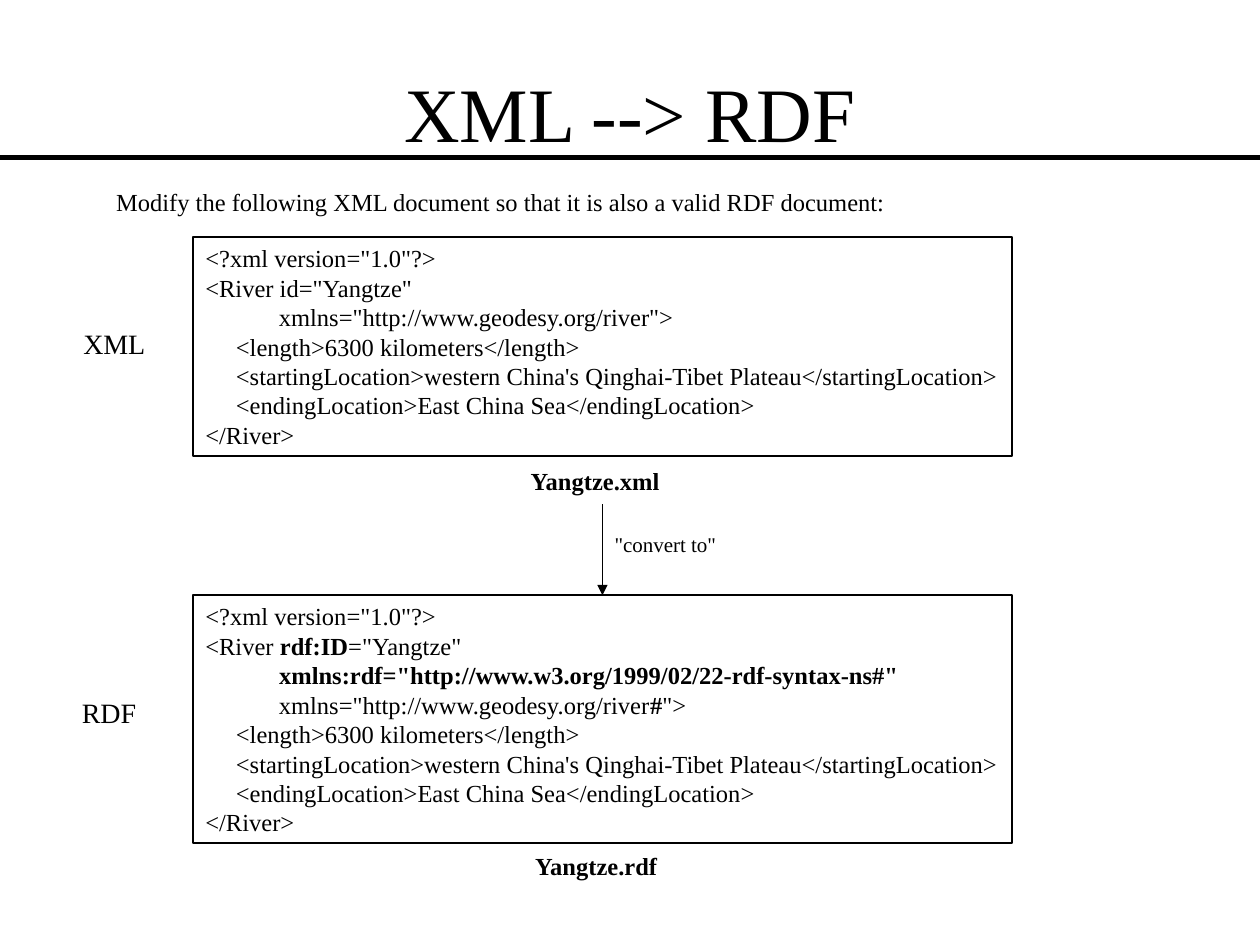
from dataclasses import dataclass

import pptx
import pptx.dml.color
import pptx.enum.shapes
import pptx.enum.text
import pptx.oxml.ns
import pptx.util
from lxml import etree

Cm = pptx.util.Cm
Pt = pptx.util.Pt
BLACK = pptx.dml.color.RGBColor(0, 0, 0)
FONT = "Times New Roman"
MARK = "*"  # encloses the bold parts of a line

# Code shown in the boxes
HEAD = '<?xml version="1.0"?>'
BODY = [
    "     <length>6300 kilometers</length>",
    "     <startingLocation>western China's Qinghai-Tibet Plateau</startingLocation>",
    "     <endingLocation>East China Sea</endingLocation>",
    "</River>",
]
XML = [
    HEAD,
    '<River id="Yangtze"',
    '            xmlns="http://www.geodesy.org/river">',
    *BODY,
]
RDF = [
    HEAD,
    '<River *rdf:ID*="Yangtze"',
    '            *xmlns:rdf="http://www.w3.org/1999/02/22-rdf-syntax-ns#"*',
    '            xmlns="http://www.geodesy.org/river*#*">',
    *BODY,
]


@dataclass
class Label:
    text: str
    left: float
    top: float
    width: float
    height: float
    size: int = 14


@dataclass
class Code:
    lines: list[str]
    top: float
    height: float


LABELS = [
    Label("XML", 1.43, 6.45, 1.9, 0.94, 16),
    Label("RDF", 1.4, 13.89, 1.75, 0.94, 16),
    Label("Modify the following XML document so that it is also a valid RDF document:",
          2.09, 3.64, 16.2, 0.86),
    Label("*Yangtze.xml*", 10.45, 9.27, 3.3, 0.86),
    Label("*Yangtze.rdf*", 10.54, 17.04, 3.15, 0.86),
    Label('"convert to"', 12.14, 10.59, 2.75, 0.76, 12),
]
CODES = [Code(XML, 4.78, 4.42), Code(RDF, 12, 5)]
LEFT, WIDTH = 3.89, 16.51
MID = LEFT + WIDTH / 2


def write(shape, lines: list[str], size: int) -> None:
    """Fill a shape with left-aligned lines that do not wrap."""
    frame = shape.text_frame
    frame.word_wrap = False
    frame.auto_size = pptx.enum.text.MSO_AUTO_SIZE.NONE
    frame.vertical_anchor = pptx.enum.text.MSO_ANCHOR.TOP
    for row, line in enumerate(lines):
        para = frame.add_paragraph() if row else frame.paragraphs[0]
        para.alignment = pptx.enum.text.PP_ALIGN.LEFT
        for part, text in enumerate(line.split(MARK)):
            if text:
                run = para.add_run()
                run.text = text
                run.font.name = FONT
                run.font.size = Pt(size)
                run.font.color.rgb = BLACK
                run.font.bold = part % 2 == 1


def add_label(slide, label: Label):
    box = slide.shapes.add_textbox(
        Cm(label.left), Cm(label.top), Cm(label.width), Cm(label.height))
    write(box, [label.text], label.size)
    return box


def add_code(slide, code: Code):
    box = slide.shapes.add_shape(
        pptx.enum.shapes.MSO_SHAPE.RECTANGLE,
        Cm(LEFT), Cm(code.top), Cm(WIDTH), Cm(code.height))
    box.shadow.inherit = False
    box.fill.background()
    box.line.color.rgb = BLACK
    box.line.width = Pt(1)
    write(box, code.lines, 14)
    return box


def add_line(slide, x1: float, y1: float, x2: float, y2: float, width: float):
    line = slide.shapes.add_connector(
        pptx.enum.shapes.MSO_CONNECTOR.STRAIGHT, Cm(x1), Cm(y1), Cm(x2), Cm(y2))
    line.line.color.rgb = BLACK
    line.line.width = Pt(width)
    etree.SubElement(line._element.spPr, pptx.oxml.ns.qn("a:effectLst"))
    return line


def main() -> None:
    deck = pptx.Presentation()
    deck.slide_width, deck.slide_height = Cm(25.4), Cm(19.05)
    slide = deck.slides.add_slide(deck.slide_layouts[6])

    # Title and rule
    title = add_label(slide, Label("XML --> RDF", 1.9, 0.66, 21.6, 3.18, 44))
    frame = title.text_frame
    frame.word_wrap = True
    frame.vertical_anchor = pptx.enum.text.MSO_ANCHOR.MIDDLE
    frame.paragraphs[0].alignment = pptx.enum.text.PP_ALIGN.CENTER
    add_line(slide, 0, 3.17, 25.4, 3.17, 3)

    # Code boxes and labels
    boxes = [add_code(slide, code) for code in CODES]
    for label in LABELS:
        add_label(slide, label)

    # Arrow down to the RDF box
    arrow = add_line(slide, MID, 10.16, MID, CODES[1].top, 1)
    arrow.end_connect(boxes[1], 0)
    etree.SubElement(arrow.line._get_or_add_ln(),
                     pptx.oxml.ns.qn("a:tailEnd"), type="triangle")

    deck.save("out.pptx")


if __name__ == "__main__":
    main()
